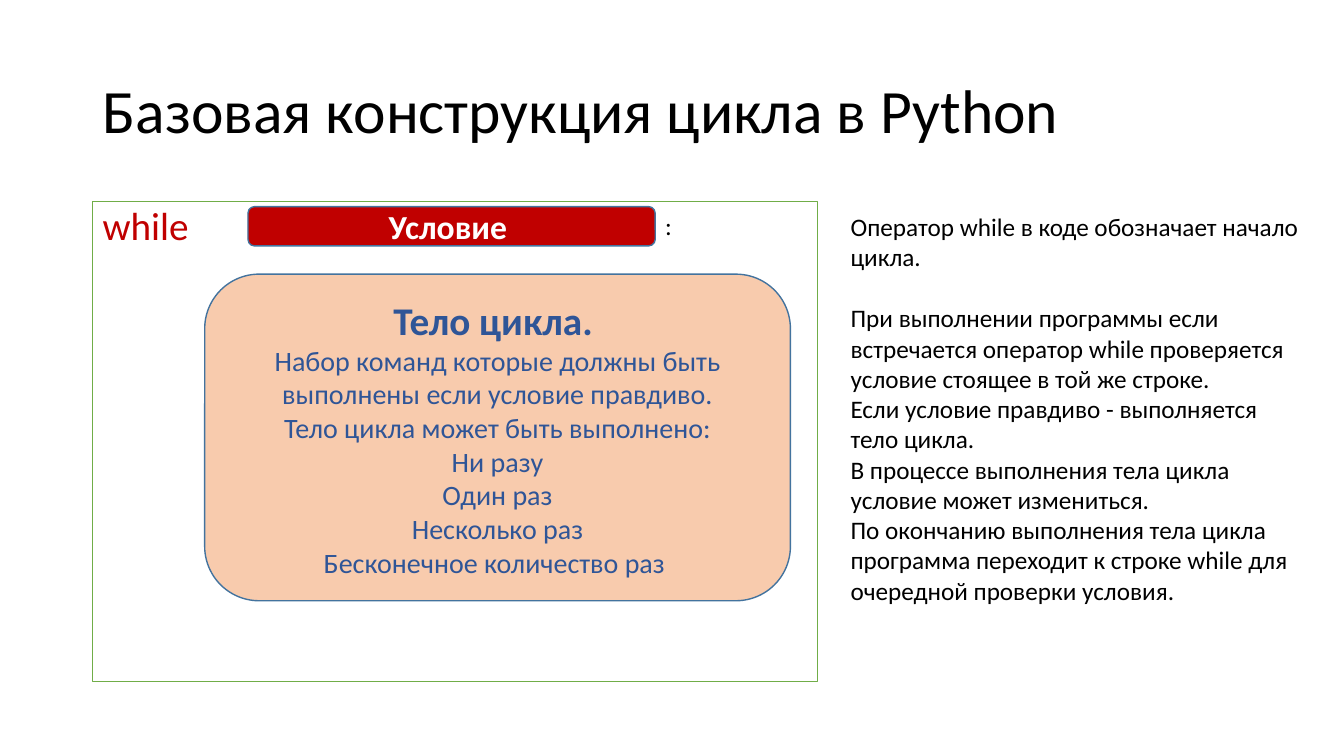
import dataclasses
import pptx
import pptx.dml.color
import pptx.enum.shapes
import pptx.enum.text
import pptx.util

SHAPES = pptx.enum.shapes.MSO_SHAPE
ANCHORS = pptx.enum.text.MSO_ANCHOR
ALIGN = pptx.enum.text.PP_ALIGN


@dataclasses.dataclass(frozen=True)
class Theme:
    font: str = "Calibri"
    black: str = "000000"
    white: str = "FFFFFF"
    red: str = "C00000"
    green: str = "70AD47"
    peach: str = "F8CBAD"
    navy: str = "2F5597"
    outline: str = "43739E"
    title: int = 44
    keyword: int = 28
    condition: int = 24
    body: int = 20
    note: int = 18
    line: int = 1


def color(value):
    return pptx.dml.color.RGBColor.from_string(value)


def apply(target, values):
    for name, value in values.items():
        setattr(target, name, value)


class SlideBuilder:
    def __init__(self, deck, theme):
        self.deck = deck
        self.theme = theme
        self.page = deck.slides.add_slide(deck.slide_layouts[6])

    def place(self, left, top, width, height):
        across, down = self.deck.slide_width, self.deck.slide_height
        return [round(share * size / 100) for share, size in
                ((left, across), (top, down), (width, across), (height, down))]

    def fill_text(self, box, lines, ink, anchor=ANCHORS.TOP, wrap=True, **layout):
        frame = box.text_frame
        apply(frame, {"word_wrap": wrap, "vertical_anchor": anchor})
        for index, (text, size, bold, gap) in enumerate(lines):
            para = frame.add_paragraph() if index else frame.paragraphs[0]
            apply(para, {"alignment": ALIGN.LEFT, **layout})
            if gap:
                para.space_before = pptx.util.Pt(gap)
            span = para.add_run()
            span.text = text
            apply(span.font, {"name": self.theme.font, "bold": bold,
                              "size": pptx.util.Pt(size)})
            span.font.color.rgb = color(ink)

    def text(self, area, lines, **style):
        box = self.page.shapes.add_textbox(*self.place(*area))
        self.fill_text(box, lines, self.theme.black, **style)

    def panel(self, kind, area, fill, edge, lines, ink, **style):
        box = self.page.shapes.add_shape(kind, *self.place(*area))
        box.shadow.inherit = False
        box.fill.solid()
        box.fill.fore_color.rgb = color(fill)
        box.line.color.rgb = color(edge)
        box.line.width = pptx.util.Pt(self.theme.line)
        self.fill_text(box, lines, ink, **style)


def main():
    deck = pptx.Presentation()
    apply(deck, {"slide_width": pptx.util.Inches(13.33),
                 "slide_height": pptx.util.Inches(7.5)})
    theme = Theme()
    slide = SlideBuilder(deck, theme)
    centred = {"anchor": ANCHORS.MIDDLE, "alignment": ALIGN.CENTER}

    slide.text((6.9, 5.33, 86.25, 19.33),
               [("Базовая конструкция цикла в Python", theme.title, False, 0)],
               anchor=ANCHORS.MIDDLE, line_spacing=0.9)
    slide.panel(SHAPES.RECTANGLE, (6.9, 26.67, 53.93, 63.47),
                theme.white, theme.green,
                [("while", theme.keyword, False, 0)], theme.red,
                line_spacing=0.9)
    slide.panel(SHAPES.ROUNDED_RECTANGLE, (18.45, 27.33, 30.3, 5.2),
                theme.red, theme.outline,
                [("Условие ", theme.condition, True, 0)], theme.white, **centred)

    commands = [
        "Набор команд которые должны быть выполнены если условие правдиво.",
        "Тело цикла может быть выполнено:",
        "Ни разу",
        "Один раз",
        "Несколько раз",
        "Бесконечное количество раз ",
    ]
    slide.panel(SHAPES.ROUNDED_RECTANGLE, (15.23, 36.27, 43.58, 43.2),
                theme.peach, theme.outline,
                [("Тело цикла. ", theme.keyword, True, 0)]
                + [(line, theme.body, False, 0) for line in commands],
                theme.navy, **centred)
    slide.text((48.75, 27.2, 2.03, 5.33), [(":", theme.note, False, 0)], wrap=False)

    notes = [
        ("Оператор while в коде обозначает начало цикла.", 0),
        ("При выполнении программы если встречается оператор while "
         "проверяется условие стоящее в той же строке.", 22),
        ("Если условие правдиво - выполняется тело цикла.", 0),
        ("В процессе выполнения тела цикла условие может измениться.", 0),
        ("По окончанию выполнения тела цикла программа переходит "
         "к строке while для очередной проверки условия.", 0),
    ]
    slide.text((62.55, 27.33, 35.25, 53.87),
               [(line, theme.note, False, gap) for line, gap in notes])
    deck.save("out.pptx")


if __name__ == "__main__":
    main()
